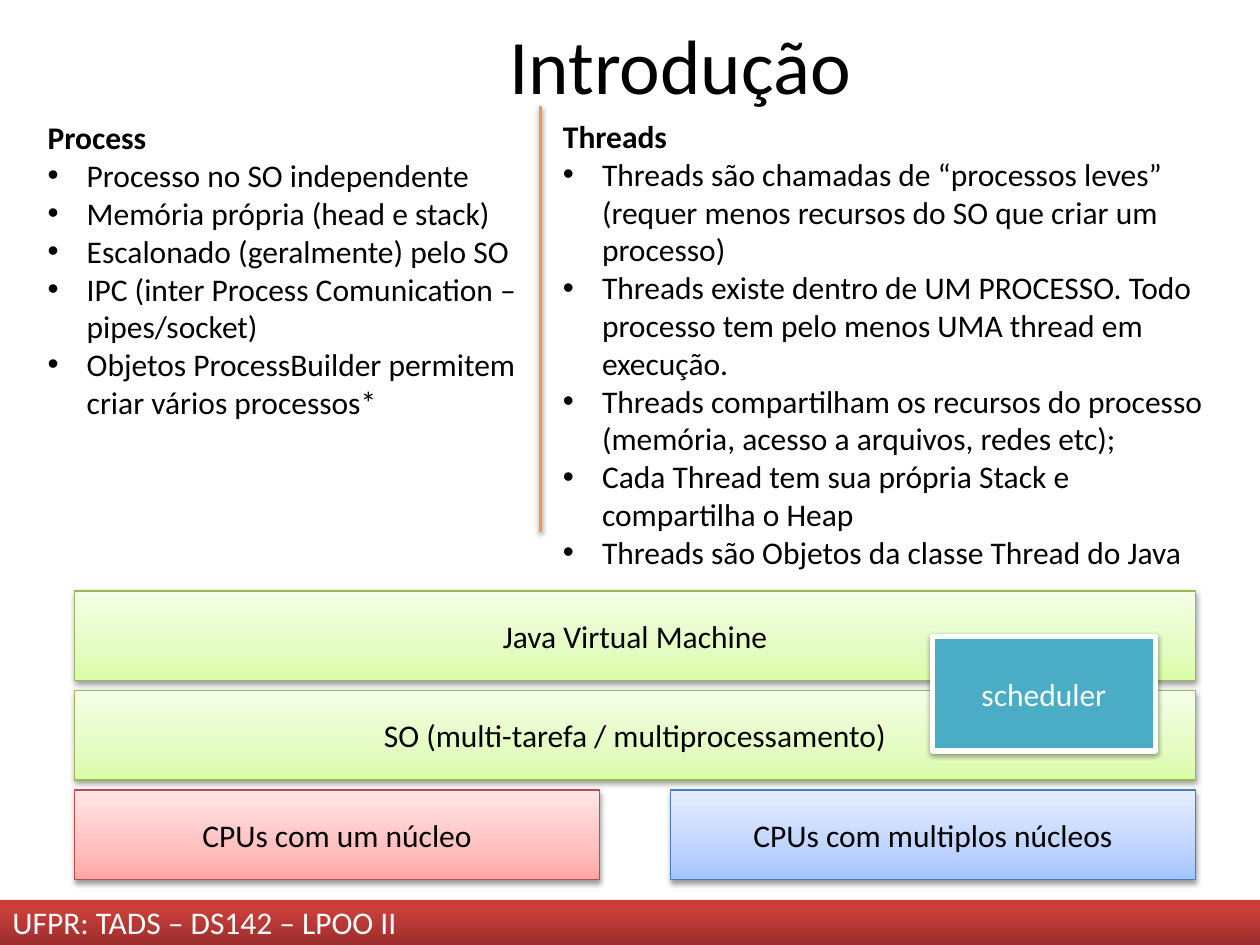
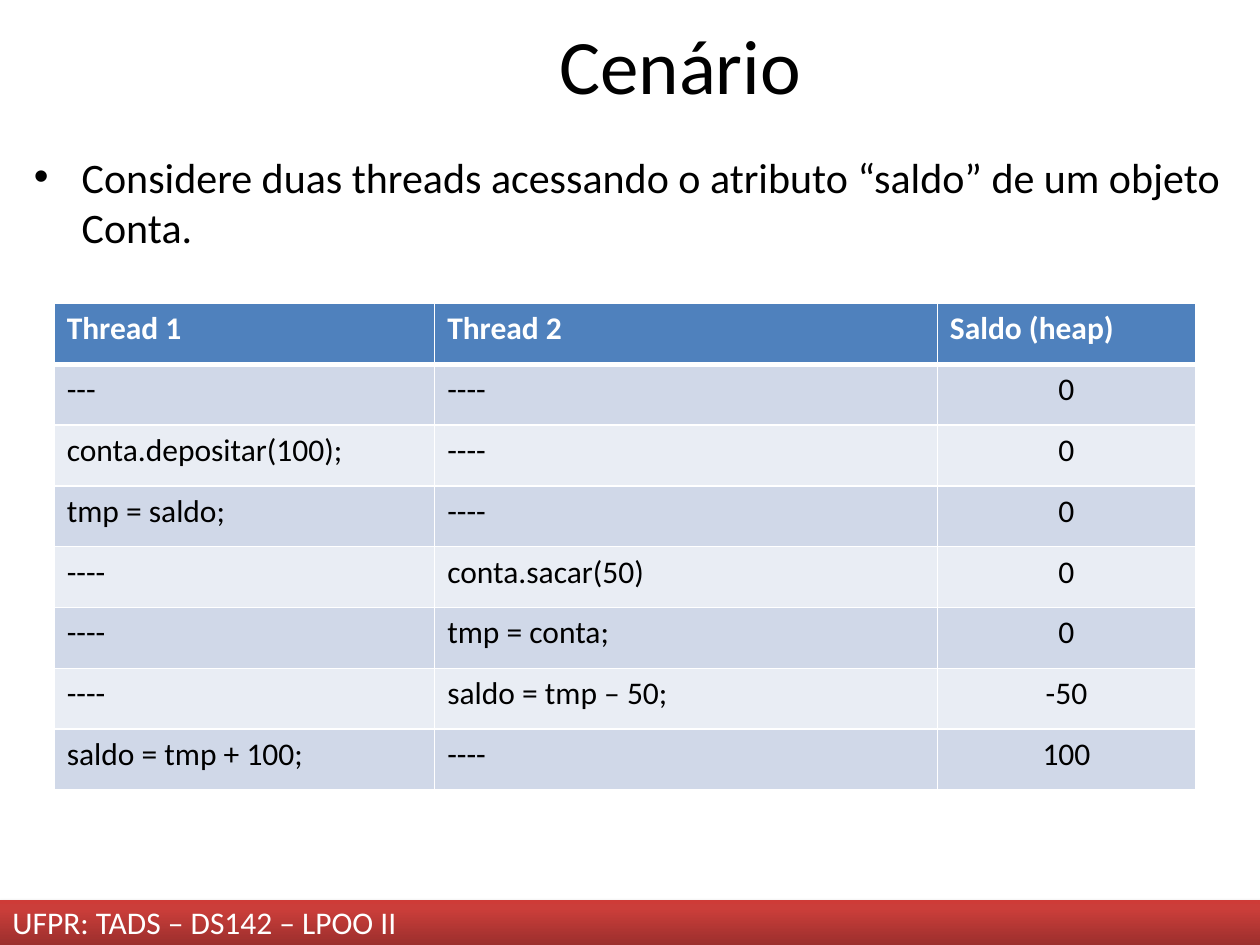
from dataclasses import dataclass

from lxml import etree
from pptx import Presentation
from pptx.dml.color import RGBColor
from pptx.enum.shapes import MSO_CONNECTOR, MSO_SHAPE
from pptx.enum.text import MSO_ANCHOR, MSO_AUTO_SIZE, PP_ALIGN
from pptx.oxml import parse_xml
from pptx.oxml.ns import qn
from pptx.util import Inches, Pt

RECT = MSO_SHAPE.RECTANGLE
STRAIGHT = MSO_CONNECTOR.STRAIGHT
LEFT, CENTER = PP_ALIGN.LEFT, PP_ALIGN.CENTER
TOP, MIDDLE = MSO_ANCHOR.TOP, MSO_ANCHOR.MIDDLE
GROW = MSO_AUTO_SIZE.SHAPE_TO_FIT_TEXT
NS = 'xmlns:a="http://schemas.openxmlformats.org/drawingml/2006/main"'
FONT = "Calibri"
FOOTER = "UFPR: TADS – DS142 – LPOO II"
COLORS = {
    "black": "000000", "white": "FFFFFF", "teal": "4BACC6", "orange": "F79646",
    "head": "4F81BD", "odd": "D0D8E8", "even": "E9EDF4",
    "red": "BF4C48", "blue": "4B7EBC", "green": "98B955",
}
BLENDS = {
    "band": ((0, "9C2F2D"), (80, "CB3E3A"), (100, "CE3B37")),
    "red": ((0, "FFA6A5"), (35, "FFC0BF"), (100, "FFE7E7")),
    "blue": ((0, "A4C4FF"), (35, "BFD4FF"), (100, "E6EEFF")),
    "green": ((0, "DAFDA7"), (35, "E4FCC2"), (100, "F5FFE7")),
}


@dataclass
class Area:
    left: float
    top: float
    width: float
    height: float

    def place(self) -> tuple:
        return tuple(map(Inches, (self.left, self.top, self.width, self.height)))


@dataclass
class Box:
    text: str
    area: Area
    fill: str
    line: str = ""
    weight: float = 0.75
    color: str = "black"
    align: int = CENTER
    alpha: int = 38
    drop: float = 1.6


@dataclass
class Column:
    area: Area
    head: str
    items: list[str]


EDGE, WIDE, HALF, HIGH = 0.59, 8.9, 4.17, 0.71
LAYERS = [4.69 + 0.79 * step for step in range(3)]
BAND = Box(FOOTER, Area(0, 7.14, 10, 0.36), "band", color="white",
           align=LEFT, alpha=35, drop=1.8)
BOXES = [
    Box("CPUs com um núcleo", Area(EDGE, LAYERS[2], HALF, HIGH), "red", "red"),
    Box("CPUs com multiplos núcleos",
        Area(EDGE + WIDE - HALF, LAYERS[2], HALF, HIGH), "blue", "blue"),
    Box("SO (multi-tarefa / multiprocessamento)",
        Area(EDGE, LAYERS[1], WIDE, HIGH), "green", "green"),
    Box("Java Virtual Machine", Area(EDGE, LAYERS[0], WIDE, HIGH), "green", "green"),
    Box("scheduler", Area(7.4, 5.05, 1.77, 0.91), "teal", "white", 3, "white"),
]
COLUMNS = [
    Column(Area(0.28, 0.89, 4.02, 2.52), "Process", [
        "Processo no SO independente",
        "Memória própria (head e stack)",
        "Escalonado (geralmente) pelo SO",
        "IPC (inter Process Comunication – pipes/socket)",
        "Objetos ProcessBuilder permitem criar vários processos*",
    ]),
    Column(Area(4.37, 0.88, 5.43, 3.74), "Threads", [
        "Threads são chamadas de “processos leves” (requer menos recursos do SO "
        "que criar um processo)",
        "Threads existe dentro de UM PROCESSO. Todo processo tem pelo menos "
        "UMA thread em execução.",
        "Threads compartilham os recursos do processo (memória, acesso a "
        "arquivos, redes etc);",
        "Cada Thread tem sua própria Stack e compartilha o Heap",
        "Threads são Objetos da classe Thread do Java",
    ]),
]
WIDTHS = (3.02, 3.99, 2.05)
ROWS = [
    ("Thread 1", "Thread 2", "Saldo (heap)"),
    ("---", "----", "0"),
    ("conta.depositar(100);", "----", "0"),
    ("tmp = saldo;", "----", "0"),
    ("----", "conta.sacar(50)", "0"),
    ("----", "tmp = conta;", "0"),
    ("----", "saldo = tmp – 50;", "-50"),
    ("saldo = tmp + 100;", "----", "100"),
]


def paint(name: str) -> RGBColor:
    return RGBColor.from_string(COLORS[name])


def style(para, size: int = 18, color: str = "black", align: int = LEFT,
          bold: bool = False) -> None:
    para.alignment = align
    for run in para.runs:
        run.font.name = FONT
        run.font.size = Pt(size)
        run.font.bold = bold
        run.font.color.rgb = paint(color)


def bullet(para, indent: float) -> None:
    props = para._p.get_or_add_pPr()
    props.set("marL", str(Inches(indent)))
    props.set("indent", str(-Inches(indent)))
    etree.SubElement(props, qn("a:buFont")).set("typeface", "Arial")
    etree.SubElement(props, qn("a:buChar")).set("char", "•")


def shade(shape, alpha: int = 38, drop: float = 1.6) -> None:
    shape._element.spPr.append(parse_xml(
        f'<a:effectLst {NS}><a:outerShdw blurRad="{Pt(3.1)}" dist="{Pt(drop)}" '
        f'dir="5400000" rotWithShape="0"><a:srgbClr val="{COLORS["black"]}">'
        f'<a:alpha val="{alpha * 1000}"/></a:srgbClr></a:outerShdw></a:effectLst>'))


def blend(shape, name: str) -> None:
    stops = "".join(f'<a:gs pos="{spot * 1000}"><a:srgbClr val="{tint}"/></a:gs>'
                    for spot, tint in BLENDS[name])
    shape._element.spPr.append(parse_xml(
        f'<a:gradFill {NS} rotWithShape="1"><a:gsLst>{stops}</a:gsLst>'
        '<a:lin ang="16200000" scaled="0"/></a:gradFill>'))


def draw_box(slide, box: Box) -> None:
    shape = slide.shapes.add_shape(RECT, *box.area.place())
    if box.fill in BLENDS:
        blend(shape, box.fill)
    else:
        shape.fill.solid()
        shape.fill.fore_color.rgb = paint(box.fill)
    if box.line:
        shape.line.color.rgb = paint(box.line)
        shape.line.width = Pt(box.weight)
    else:
        shape.line.fill.background()
    shade(shape, box.alpha, box.drop)
    frame = shape.text_frame
    frame.text = box.text
    frame.vertical_anchor = MIDDLE
    style(frame.paragraphs[0], color=box.color, align=box.align)


def add_text(slide, area: Area, text: str, anchor: int = TOP):
    frame = slide.shapes.add_textbox(*area.place()).text_frame
    frame.word_wrap = True
    frame.vertical_anchor = anchor
    frame.text = text
    return frame


def draw_column(slide, column: Column) -> None:
    frame = add_text(slide, column.area, "\n".join([column.head, *column.items]))
    frame.auto_size = GROW
    head, *items = frame.paragraphs
    style(head, bold=True)
    for para in items:
        style(para)
        bullet(para, 0.31)


def draw_rule(slide) -> None:
    rule = slide.shapes.add_connector(
        STRAIGHT, Inches(4.29), Inches(0.84), Inches(4.29), Inches(4.22))
    rule.line.color.rgb = paint("orange")
    rule.line.width = Pt(2)
    shade(rule)


def edge(cell, row: int) -> None:
    sides = {"L": 1, "R": 1, "T": 3 if row == 1 else 1, "B": 3 if row == 0 else 1}
    props = cell._tc.get_or_add_tcPr()
    for spot, (side, weight) in enumerate(sides.items()):
        props.insert(spot, parse_xml(
            f'<a:ln{side} {NS} w="{Pt(weight)}"><a:solidFill>'
            f'<a:srgbClr val="{COLORS["white"]}"/></a:solidFill></a:ln{side}>'))


def draw_table(slide) -> None:
    area = Area(0.43, 2.41, sum(WIDTHS), 3.86)
    table = slide.shapes.add_table(len(ROWS), len(WIDTHS), *area.place()).table
    for column, width in zip(table.columns, WIDTHS):
        column.width = Inches(width)
    for row, texts in enumerate(ROWS):
        head = row == 0
        fill = "head" if head else ("even", "odd")[row % 2]
        for col, text in enumerate(texts):
            cell = table.cell(row, col)
            cell.text = text
            cell.fill.solid()
            cell.fill.fore_color.rgb = paint(fill)
            edge(cell, row)
            style(cell.text_frame.paragraphs[0], color="white" if head else "black",
                  align=CENTER if col == 2 and not head else LEFT, bold=head)


def add_page(deck, title: str):
    slide = deck.slides.add_slide(deck.slide_layouts[6])
    draw_box(slide, BAND)
    frame = add_text(slide, Area(0.91, 0.05, 8.98, 0.91), title, MIDDLE)
    style(frame.paragraphs[0], 44, align=CENTER)
    return slide


def build_intro(deck) -> None:
    slide = add_page(deck, "Introdução")
    for box in BOXES:
        draw_box(slide, box)
    draw_rule(slide)
    for column in COLUMNS:
        draw_column(slide, column)


def build_case(deck) -> None:
    slide = add_page(deck, "Cenário")
    frame = add_text(slide, Area(0.17, 1.15, 9.71, 5.67),
                     "Considere duas threads acessando o atributo “saldo” de um objeto Conta.")
    para = frame.paragraphs[0]
    style(para, 24)
    para.space_before = Pt(4.8)
    bullet(para, 0.38)
    draw_table(slide)


def main() -> None:
    deck = Presentation()
    deck.slide_width, deck.slide_height = Inches(10), Inches(7.5)
    build_intro(deck)
    build_case(deck)
    deck.save("out.pptx")


if __name__ == "__main__":
    main()
